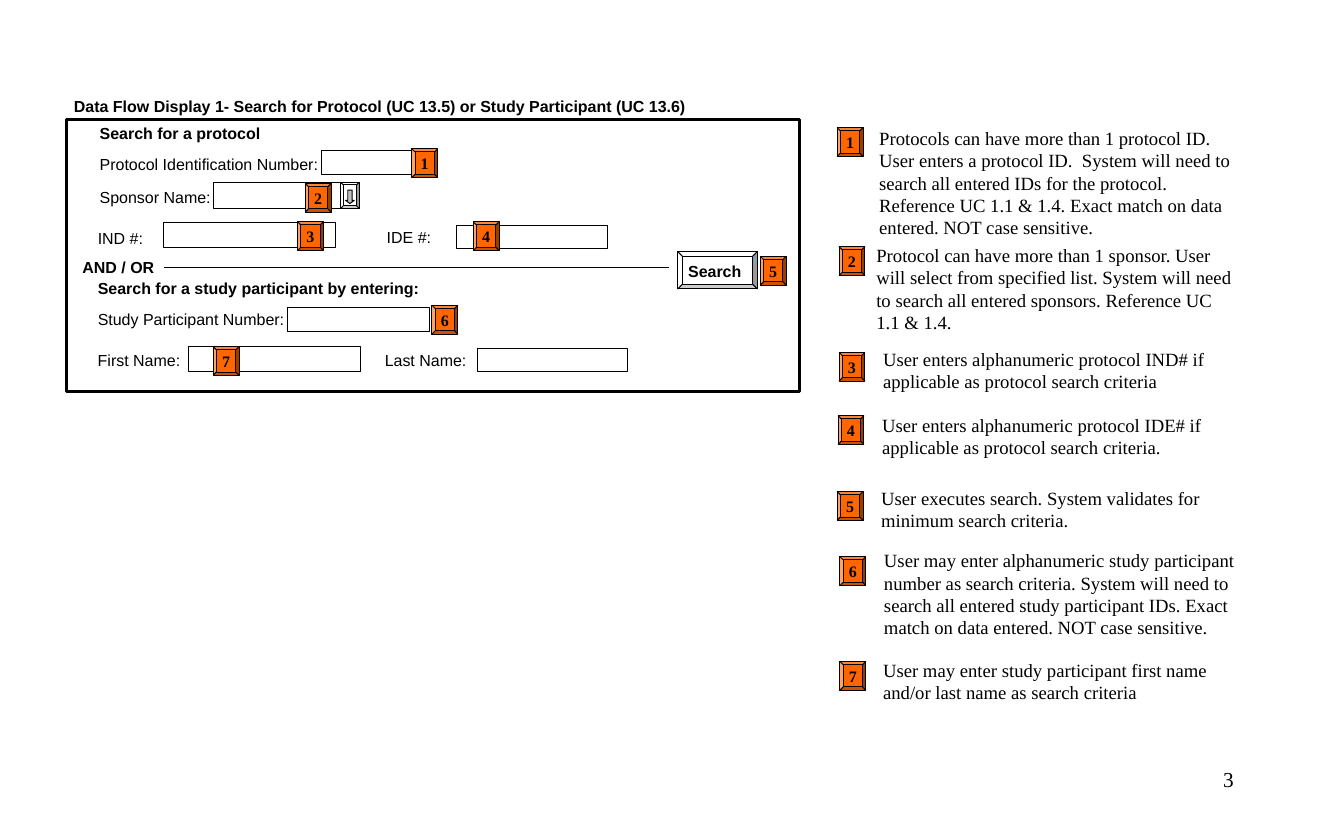
from pptx import Presentation, util as u
from pptx.dml import color
from pptx.enum import shapes, text
from pptx.oxml import ns
from lxml import etree

COLS, ROWS = 140, 85
CELL = u.Inches(0.1)
SANS, SERIF = "Arial", "Times New Roman"
BLACK, WHITE, ORANGE, GRAY = "000000", "FFFFFF", "FF6600", "C0C0C0"
KIND = shapes.MSO_SHAPE
ALIGN = text.PP_ALIGN

HEADS = [
    (9.4, 12.4, 39.6, "Search for a protocol"),
    (7.6, 26.3, 10.9, "AND / OR"),
    (9.2, 28.5, 48.5, "Search for a study participant by entering:"),
    (70.7, 26.8, 9.6, "Search"),
]
LABELS = [
    (9.4, 15.6, 41.4, "Protocol Identification Number:"),
    (9.4, 19, 71.2, "Sponsor Name:"),
    (9.2, 23.3, 8.9, "IND #:"),
    (39.3, 23.2, 9.5, "IDE #:"),
    (9.2, 31.7, 22.5, "Study Participant Number:"),
    (9.2, 36, 11.4, "First Name:"),
    (39.1, 36, 12.3, "Last Name:"),
]
FIELDS = [
    (33.5, 15.7, 10.8, 2.5),
    (22.2, 19, 15.2, 2.7),
    (17, 23.2, 18, 2.6),
    (47.6, 23.5, 15.7, 2.4),
    (29.9, 32, 14.8, 2.5),
    (19.6, 36.1, 18, 2.6),
    (49.7, 36.3, 15.7, 2.4),
]
MARKS = [(42.9, 15.5), (31.8, 19.1), (31, 23.1), (49.3, 23.1),
         (79.2, 26.7), (45, 31.8), (22.2, 36.1)]
NOTES = [
    (87.2, 13.3, 90.6, 12.7, 12.7,
     "Protocols can have more than 1 protocol ID. User enters a protocol ID.  "
     "System will need to search all entered IDs for the protocol. "
     "Reference UC 1.1 & 1.4. Exact match on data entered. NOT case sensitive."),
    (87.4, 25.7, 90.3, 24.9, 10.4,
     "Protocol can have more than 1 sponsor. User will select from specified "
     "list. System will need to search all entered sponsors. "
     "Reference UC 1.1 & 1.4."),
    (87.4, 36.7, 91, 35.7, 5.7,
     "User enters alphanumeric protocol IND# if applicable as protocol "
     "search criteria"),
    (87.3, 43.3, 90.9, 42.6, 5.7,
     "User enters alphanumeric protocol IDE# if applicable as protocol "
     "search criteria."),
    (87.2, 51.2, 90.8, 50.2, 5.7,
     "User executes search. System validates for minimum search criteria."),
    (87.5, 58, 91.1, 56.7, 10.4,
     "User may enter alphanumeric study participant number as search "
     "criteria. System will need to search all entered study participant IDs. "
     "Exact match on data entered. NOT case sensitive."),
    (87.5, 68.9, 91, 68.1, 5.7,
     "User may enter study participant first name and/or last name as "
     "search criteria"),
]


def grid(*spans):
    return [round(n * CELL) for n in spans]


def paint(code):
    return color.RGBColor.from_string(code)


def style(shape, words, size, font, bold=False, align=ALIGN.LEFT):
    frame = shape.text_frame
    frame.text = words
    frame.word_wrap = True
    frame.auto_size = text.MSO_AUTO_SIZE.NONE
    frame.vertical_anchor = text.MSO_ANCHOR.TOP
    frame.margin_left = frame.margin_right = u.Inches(0.1)
    frame.margin_top = frame.margin_bottom = u.Inches(0.05)
    part = frame.paragraphs[0]
    part.alignment = align
    face = part.runs[0].font
    face.size, face.name, face.bold = u.Pt(size), font, bold
    face.color.rgb = paint(BLACK)
    return frame


def write(slide, box, words, size, font, bold=False, align=ALIGN.LEFT):
    shape = slide.shapes.add_textbox(*grid(*box))
    return style(shape, words, size, font, bold, align)


def draw(slide, kind, box, fill=WHITE, width=0.75):
    shape = slide.shapes.add_shape(kind, *grid(*box))
    shape.shadow.inherit = False
    if fill:
        shape.fill.solid()
        shape.fill.fore_color.rgb = paint(fill)
    else:
        shape.fill.background()
    shape.line.color.rgb = paint(BLACK)
    shape.line.width = u.Pt(width)
    return shape


def badge(slide, left, top, digit):
    shape = draw(slide, KIND.BEVEL, (left, top, 2.7, 3), ORANGE)
    frame = style(shape, str(digit), 12, SERIF, True, ALIGN.CENTER)
    frame.word_wrap = False
    frame.vertical_anchor = text.MSO_ANCHOR.MIDDLE


def rule(slide, *ends):
    line = slide.shapes.add_connector(shapes.MSO_CONNECTOR.STRAIGHT, *grid(*ends))
    line.line.color.rgb = paint(BLACK)
    line.line.width = u.Pt(0.75)
    etree.SubElement(line._element.spPr, ns.qn("a:effectLst"))


def title(slide, box, words):
    shape = slide.shapes.title
    shape.left, shape.top, shape.width, shape.height = grid(*box)
    style(shape, words, 12, SANS, True)


def form(slide):
    draw(slide, KIND.RECTANGLE, (6.9, 12.4, 76.4, 28.4), None, 2.25)
    for box in FIELDS:
        draw(slide, KIND.RECTANGLE, box)
    draw(slide, KIND.BEVEL, (35.5, 19, 1.9, 2.7))
    arrow = draw(slide, KIND.DOWN_ARROW, (36, 19.8, 0.9, 1.4), GRAY)
    arrow.adjustments[1] = 0.36
    draw(slide, KIND.BEVEL, (70.6, 26.2, 8.3, 3.9))
    rule(slide, 17.1, 27.9, 69.7, 27.9)
    for rows, bold in ((HEADS, True), (LABELS, False)):
        for left, top, wide, words in rows:
            write(slide, (left, top, wide, 3), words, 12, SANS, bold)
    for digit, (left, top) in enumerate(MARKS, 1):
        badge(slide, left, top, digit)


def legend(slide):
    for digit, (x, y, left, top, high, words) in enumerate(NOTES, 1):
        badge(slide, x, y, digit)
        write(slide, (left, top, 39.2, high), words, 14, SERIF)


def main():
    deck = Presentation()
    deck.slide_width, deck.slide_height = grid(COLS, ROWS)
    slide = deck.slides.add_slide(deck.slide_layouts[5])
    title(slide, (6.7, 9.6, 76.8, 3),
          "Data Flow Display 1- Search for Protocol (UC 13.5) "
          "or Study Participant (UC 13.6)")
    form(slide)
    legend(slide)
    write(slide, (100.3, 79.3, 29.2, 3.1), "3", 16, SERIF, align=ALIGN.RIGHT)
    deck.save("out.pptx")


if __name__ == "__main__":
    main()
